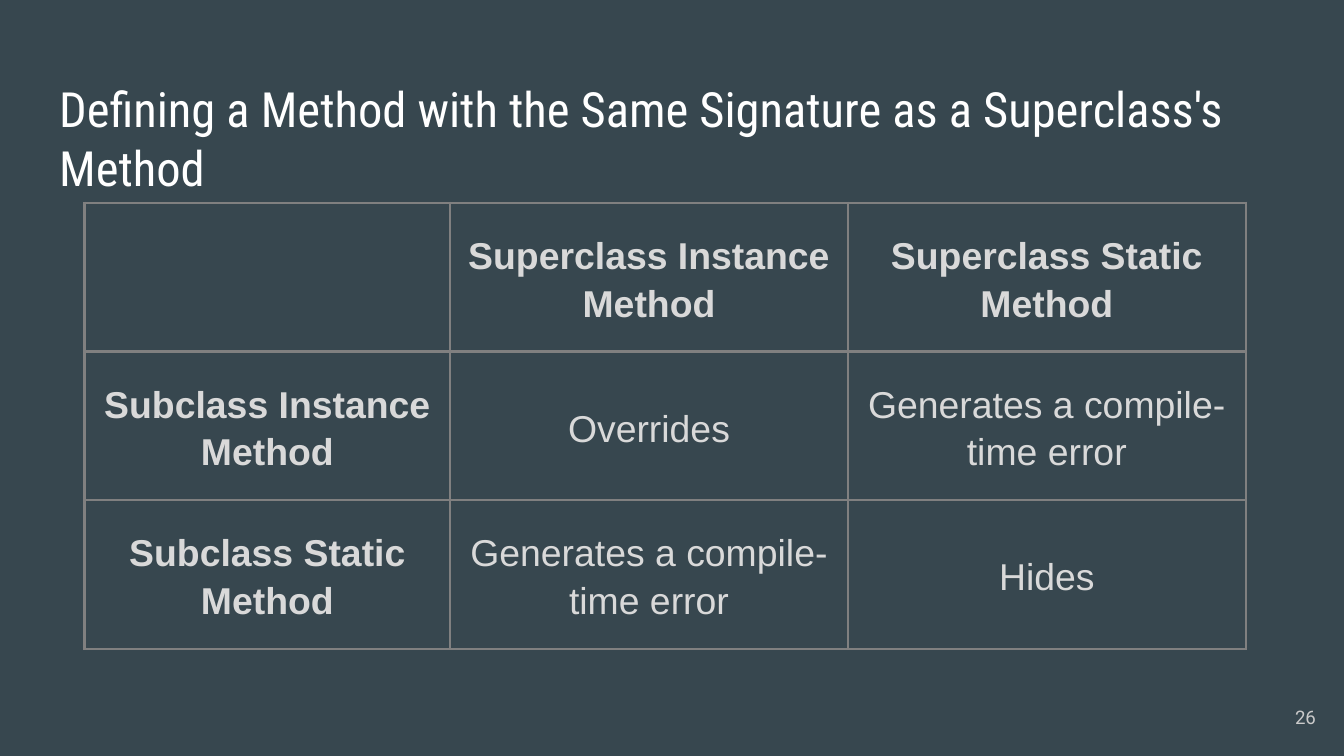
from lxml import etree
from pptx import Presentation
from pptx.dml.color import RGBColor
from pptx.enum import text as t
from pptx.oxml import ns
from pptx.util import Inches, Pt

SLATE = RGBColor(0x37, 0x47, 0x4F)
WHITE = RGBColor(0xFF, 0xFF, 0xFF)
LIGHT_GRAY = RGBColor(0xD9, 0xD9, 0xD9)
NUMBER_GRAY = RGBColor(0xCA, 0xCA, 0xCA)
BORDER_GRAY = RGBColor(0x80, 0x80, 0x80)
INSET = Inches(0.1)

OUTCOMES = [
    ["", "Superclass Instance Method", "Superclass Static Method"],
    ["Subclass Instance Method", "Overrides", "Generates a compile-time error"],
    ["Subclass Static Method", "Generates a compile-time error", "Hides"],
]


def write(frame, wording, *, font, size, color, bold=False,
          align=t.PP_ALIGN.LEFT, spacing=1.0):
    paragraph = frame.paragraphs[0]
    paragraph.alignment = align
    paragraph.line_spacing = spacing
    run = paragraph.add_run()
    run.text = wording
    run.font.name = font
    run.font.size = Pt(size)
    run.font.bold = bold
    run.font.color.rgb = color


def set_insets(holder):
    holder.margin_left = holder.margin_right = INSET
    holder.margin_top = holder.margin_bottom = INSET


def prepare_frame(frame, anchor):
    frame.word_wrap = True
    frame.auto_size = t.MSO_AUTO_SIZE.NONE
    frame.vertical_anchor = anchor
    set_insets(frame)


def draw_borders(cell, color, width):
    properties = cell._tc.get_or_add_tcPr()
    for position, side in enumerate(("lnL", "lnR", "lnT", "lnB")):
        line = etree.Element(ns.qn(f"a:{side}"), w=str(Pt(width)))
        fill = etree.SubElement(line, ns.qn("a:solidFill"))
        etree.SubElement(fill, ns.qn("a:srgbClr"), val=str(color))
        properties.insert(position, line)


def place_title(slide, left, top, width, height):
    title = slide.shapes.title
    title.left, title.top, title.width, title.height = left, top, width, height
    prepare_frame(title.text_frame, t.MSO_ANCHOR.TOP)
    write(title.text_frame,
          "Defining a Method with the Same Signature as a Superclass's Method",
          font="Roboto Condensed", size=26, color=WHITE)


def place_outcomes(slide, left, top, width, height):
    rows, columns = len(OUTCOMES), len(OUTCOMES[0])
    table = slide.shapes.add_table(rows, columns, left, top, width, height).table
    label_width = Inches(2.72)
    table.columns[0].width = label_width
    for column in range(1, columns):
        table.columns[column].width = (width - label_width) // (columns - 1)
    for r, row in enumerate(OUTCOMES):
        table.rows[r].height = height // rows
        for c, wording in enumerate(row):
            cell = table.cell(r, c)
            cell.fill.background()
            cell.vertical_anchor = t.MSO_ANCHOR.MIDDLE
            set_insets(cell)
            draw_borders(cell, BORDER_GRAY, 1.5)
            if wording:
                write(cell.text_frame, wording, font="Arial", size=20,
                      color=LIGHT_GRAY, bold=r == 0 or c == 0,
                      align=t.PP_ALIGN.CENTER, spacing=1.15)


def place_page_number(slide, left, top, width, height):
    frame = slide.shapes.add_textbox(left, top, width, height).text_frame
    prepare_frame(frame, t.MSO_ANCHOR.MIDDLE)
    write(frame, "26", font="Roboto", size=10, color=NUMBER_GRAY,
          align=t.PP_ALIGN.RIGHT)


def main():
    deck = Presentation()
    deck.slide_width = Inches(10)
    deck.slide_height = deck.slide_width * 9 // 16
    slide = deck.slides.add_slide(deck.slide_layouts.get_by_name("Title Only"))
    slide.background.fill.solid()
    slide.background.fill.fore_color.rgb = SLATE
    place_page_number(slide, Inches(9.29), Inches(5.12), Inches(0.6), Inches(0.43))
    place_title(slide, Inches(0.34), Inches(0.49), Inches(9.32), Inches(0.63))
    place_outcomes(slide, Inches(0.63), Inches(1.51), Inches(8.64), Inches(3.32))
    deck.save("out.pptx")


if __name__ == "__main__":
    main()
